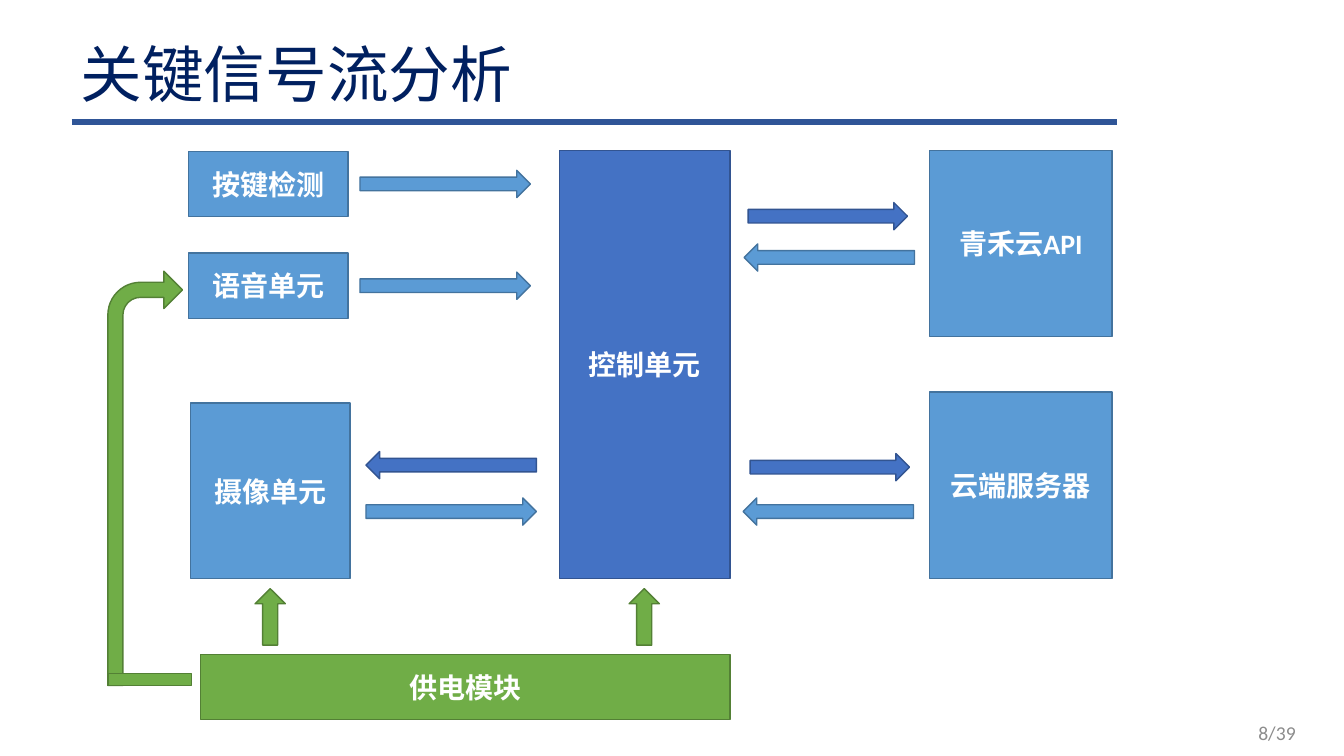
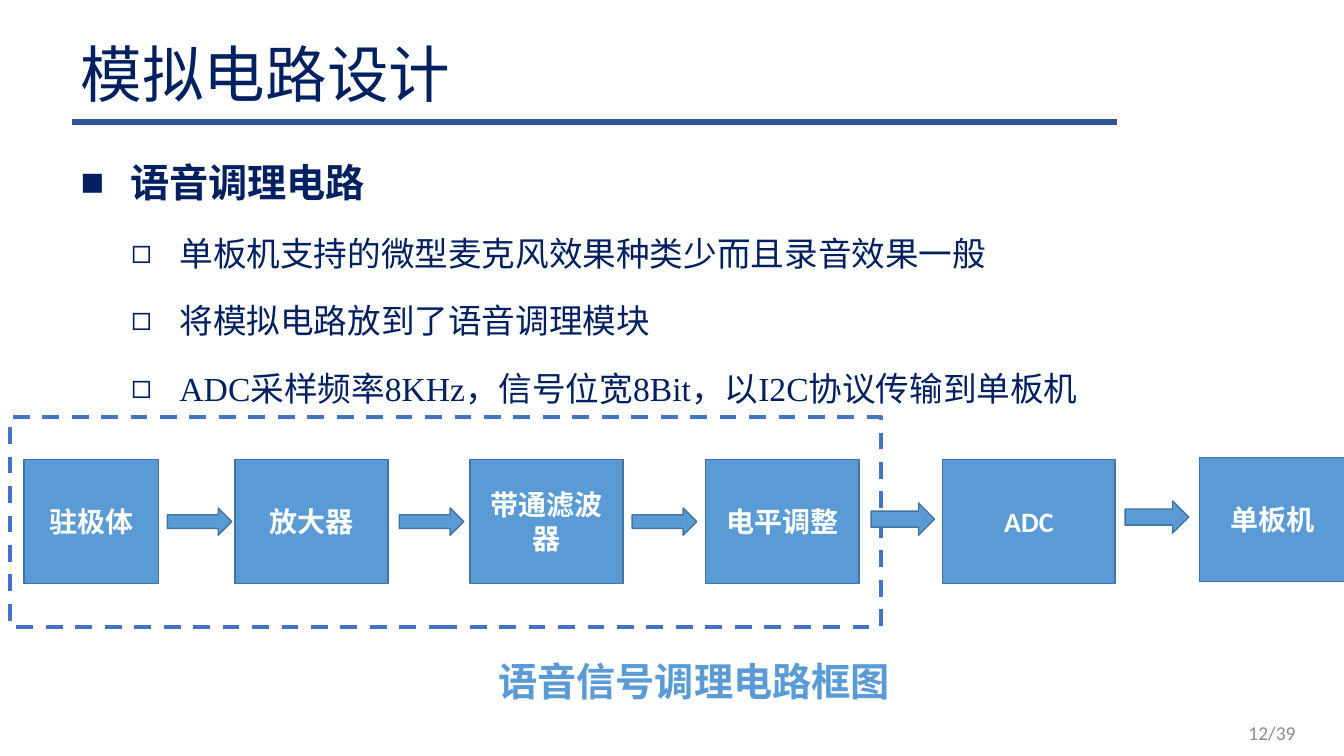
from dataclasses import dataclass

from lxml.etree import SubElement
from pptx import Presentation
from pptx.dml.color import RGBColor
from pptx.enum.dml import MSO_LINE as Dash
from pptx.enum.shapes import MSO_CONNECTOR as Wire, MSO_SHAPE as Kind
from pptx.enum.text import MSO_ANCHOR as Anchor, MSO_AUTO_SIZE as Auto, PP_ALIGN as Align
from pptx.oxml.ns import qn
from pptx.util import Inches, Pt


@dataclass(frozen=True)
class Theme:
    navy: str = "002060"
    rule: str = "2F5597"
    white: str = "FFFFFF"
    grey: str = "8C8C8C"
    sky: tuple = ("5B9BD5", "43739E")
    blue: tuple = ("4472C4", "325491")
    green: tuple = ("70AD47", "538035")
    sans: str = "Calibri"
    serif: str = "Times New Roman"
    han: str = "Noto Sans CJK SC"
    title: int = 44
    head: int = 28
    item: int = 24
    label: int = 20
    page: int = 14


@dataclass(frozen=True)
class Box:
    x: float
    y: float
    w: float
    h: float

    def sub(self, x, y, w, h):
        return Box(self.x + x, self.y + y, w, h)

    def emu(self):
        return [Inches(v) for v in (self.x, self.y, self.w, self.h)]


T = Theme()
PAGE = Box(0, 0, 13.33, 7.5)


def rgb(code):
    return RGBColor.from_string(code)


def style(para, size, color, face=T.sans, bold=False, align=Align.LEFT):
    para.alignment = align
    for run in para.runs:
        font = run.font
        font.size, font.bold, font.name = Pt(size), bold, face
        font.color.rgb = rgb(color)
        SubElement(font._element, qn("a:ea"), typeface=T.han)


def place(shape, box):
    shape.left, shape.top, shape.width, shape.height = box.emu()


def block(slide, kind, box, tone, text=""):
    shape = slide.shapes.add_shape(kind, *box.emu())
    shape.shadow.inherit = False
    shape.fill.solid()
    shape.fill.fore_color.rgb = rgb(tone[0])
    shape.line.color.rgb = rgb(tone[1])
    shape.line.width = Pt(1)
    if text:
        frame = shape.text_frame
        frame.text = text
        frame.word_wrap = True
        frame.vertical_anchor = Anchor.MIDDLE
        style(frame.paragraphs[0], T.label, T.white, bold=True, align=Align.CENTER)
    return shape


def label(slide, box, text, size, color, bold, align, wrap):
    frame = slide.shapes.add_textbox(*box.emu()).text_frame
    frame.text = text
    frame.word_wrap = wrap
    style(frame.paragraphs[0], size, color, bold=bold, align=align)


def base(deck, form, box, title, page):
    slide = deck.slides.add_slide(deck.slide_layouts[form])
    rule = box.sub(0.71, 1.21, 10.37, 0)
    x, y, w, _ = rule.emu()
    line = slide.shapes.add_connector(Wire.STRAIGHT, x, y, x + w, y)
    line.line.color.rgb = rgb(T.rule)
    line.line.width = Pt(4)
    SubElement(line._element.spPr, qn("a:effectLst"))

    head = slide.shapes.title
    place(head, box.sub(0.7, 0.36, 11.5, 0.82))
    frame = head.text_frame
    frame.text = title
    frame.auto_size = Auto.NONE
    frame.vertical_anchor = Anchor.MIDDLE
    frame.paragraphs[0].line_spacing = 0.9
    style(frame.paragraphs[0], T.title, T.navy, T.han)
    label(slide, box.sub(9.95, 7.1, 3, 0.4), f"{page}/39",
          T.page, T.grey, False, Align.RIGHT, True)
    return slide


def bullets(slide, box, lines):
    body = slide.placeholders[1]
    place(body, box)
    frame = body.text_frame
    frame.auto_size = Auto.NONE
    frame.vertical_anchor = Anchor.TOP
    frame.text = "\n".join(lines)
    for i, para in enumerate(frame.paragraphs):
        top = i == 0
        para.level = 0 if top else 1
        para.line_spacing = 1.5
        para.space_before = Pt(10 if top else 5)
        style(para, T.head if top else T.item, T.navy, T.serif, bold=top)
        props = para._p.get_or_add_pPr()
        props.set("marL", str(Inches(0.49 if top else 0.98)))
        props.set("indent", str(Inches(-0.49 if top else -0.48)))
        SubElement(props, qn("a:buFont"), typeface=T.serif)
        SubElement(props, qn("a:buChar"), char="■" if top else "◻")


def signals(slide, box):
    units = [
        ("按键检测", 0.8, 0.01, 1.58, 0.65, T.sky),
        ("语音单元", 0.8, 1.02, 1.58, 0.65, T.sky),
        ("摄像单元", 0.82, 2.51, 1.58, 1.74, T.sky),
        ("控制单元", 4.48, 0, 1.69, 4.25, T.blue),
        ("青禾云API", 8.15, 0, 1.81, 1.85, T.sky),
        ("云端服务器", 8.15, 2.4, 1.81, 1.85, T.sky),
        ("供电模块", 0.92, 5, 5.25, 0.65, T.green),
    ]
    for text, x, y, w, h, tone in units:
        block(slide, Kind.RECTANGLE, box.sub(x, y, w, h), tone, text)

    right, left = Kind.RIGHT_ARROW, Kind.LEFT_ARROW
    flows = [
        (right, 2.5, 0.2, 1.69, T.sky),
        (right, 2.5, 1.21, 1.69, T.sky),
        (left, 2.56, 2.99, 1.69, T.blue),
        (right, 2.56, 3.45, 1.69, T.sky),
        (right, 6.35, 0.52, 1.58, T.blue),
        (left, 6.31, 0.93, 1.69, T.sky),
        (right, 6.37, 3.01, 1.58, T.blue),
        (left, 6.3, 3.45, 1.69, T.sky),
    ]
    for kind, x, y, w, tone in flows:
        block(slide, kind, box.sub(x, y, w, 0.27), tone)


def power(slide, box):
    for x in (1.46, 5.17):
        block(slide, Kind.UP_ARROW, box.sub(x, 4.35, 0.3, 0.56), T.green)
    bend = block(slide, Kind.BENT_ARROW, box.sub(0, 1.2, 0.74, 4.11), T.green)
    for i, value in enumerate((0.202, 0.25, 0.25, 0.438)):
        bend.adjustments[i] = value
    block(slide, Kind.RECTANGLE, box.sub(0, 5.19, 0.83, 0.12), T.green)


def chain(slide, box):
    stages = [
        ("驻极体", 0.14, 0.42, 1.33),
        ("放大器", 2.23, 0.42, 1.52),
        ("带通滤波器", 4.56, 0.42, 1.52),
        ("电平调整", 6.9, 0.42, 1.52),
        ("ADC", 9.25, 0.42, 1.71),
        ("单板机", 11.8, 0.4, 1.44),
    ]
    for text, x, y, w in stages:
        block(slide, Kind.RECTANGLE, box.sub(x, y, w, 1.23), T.sky, text)

    edge = block(slide, Kind.RECTANGLE, box.sub(0, 0, 8.64, 2.08), T.blue)
    edge.fill.background()
    edge.line.color.rgb = rgb(T.blue[0])
    edge.line.width = Pt(3)
    edge.line.dash_style = Dash.DASH

    links = [(x, 0.9, 0.64, 0.27) for x in (1.56, 3.86, 6.17)]
    links += [(8.54, 0.85, 0.63, 0.32), (11.06, 0.83, 0.63, 0.32)]
    for link in links:
        block(slide, Kind.RIGHT_ARROW, box.sub(*link), T.sky)
    label(slide, box.sub(4.72, 2.33, 4.13, 0.57), "语音信号调理电路框图",
          T.head, T.sky[0], True, Align.CENTER, False)


def main():
    deck = Presentation()
    deck.slide_width, deck.slide_height = Inches(PAGE.w), Inches(PAGE.h)

    slide = base(deck, 5, PAGE, "关键信号流分析", 8)
    area = PAGE.sub(1.07, 1.49, 9.96, 5.65)
    signals(slide, area)
    power(slide, area)

    slide = base(deck, 1, PAGE, "模拟电路设计", 12)
    bullets(slide, PAGE.sub(0.7, 1.29, 11.5, 5.95), [
        "语音调理电路",
        "单板机支持的微型麦克风效果种类少而且录音效果一般",
        "将模拟电路放到了语音调理模块",
        "ADC采样频率8KHz，信号位宽8Bit，以I2C协议传输到单板机",
    ])
    chain(slide, PAGE.sub(0.1, 4.14, 13.24, 2.9))
    deck.save("out.pptx")


if __name__ == "__main__":
    main()
